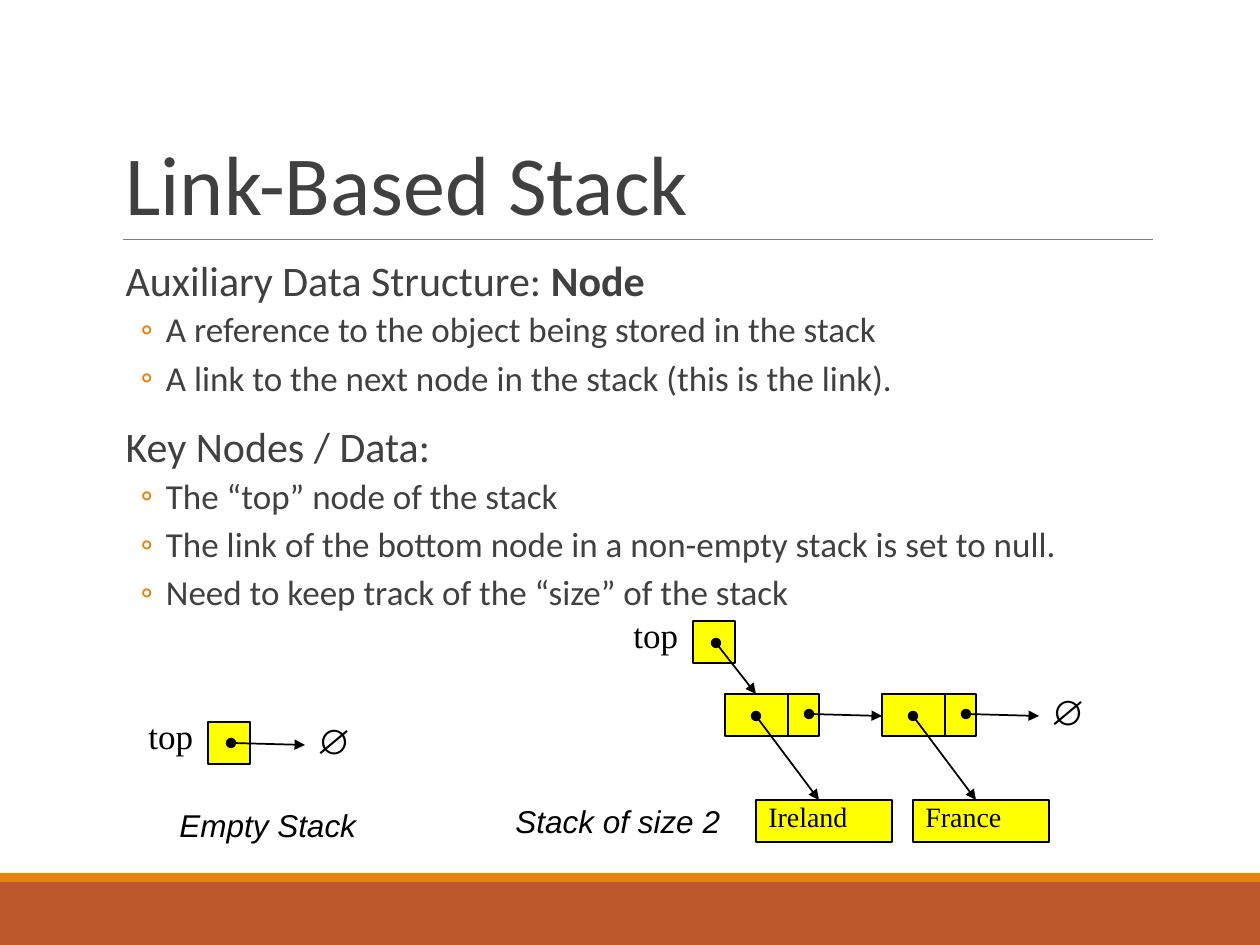
"""Build the Link-Based Stack slide with its node diagrams."""
from dataclasses import dataclass

from lxml.etree import SubElement
from pptx import Presentation
from pptx.dml.color import RGBColor as Rgb
from pptx.enum.shapes import MSO_CONNECTOR as Link, MSO_SHAPE as Shape
from pptx.enum.text import MSO_ANCHOR as Anchor, MSO_AUTO_SIZE as Fit, PP_ALIGN as Align
from pptx.oxml.ns import qn
from pptx.util import Inches, Pt


@dataclass(frozen=True)
class Theme:
    ink: Rgb = Rgb(0x40, 0x40, 0x40)
    black: Rgb = Rgb(0, 0, 0)
    rule: Rgb = Rgb(0x7F, 0x7F, 0x7F)
    yellow: Rgb = Rgb(0xFF, 0xFF, 0)
    orange: Rgb = Rgb(0xE4, 0x83, 0x12)
    rust: Rgb = Rgb(0xBD, 0x58, 0x2C)
    title: Pt = Pt(48)
    heading: Pt = Pt(24)
    point: Pt = Pt(20)
    caption: Pt = Pt(18)
    country: Pt = Pt(16)
    outline: Pt = Pt(0.74)
    arrow: Pt = Pt(0.99)
    hairline: Pt = Pt(0.51)


theme = Theme()
PX = Inches(1) // 126

title_format = {"name": "Calibri", "size": theme.title, "color": theme.ink, "line_spacing": 0.85}
heading_format = {"name": "Calibri", "size": theme.heading, "color": theme.ink,
                  "line_spacing": 0.9, "space_before": Pt(12), "space_after": Pt(2)}
point_format = {**heading_format, "size": theme.point, "level": 1,
                "space_before": Pt(2), "space_after": Pt(4)}
top_format = {"name": "Times New Roman", "size": theme.point, "color": theme.black,
              "line_spacing": 0.6, "space_before": Pt(12.5)}
country_format = {**top_format, "size": theme.country, "space_before": Pt(10),
                  "alignment": Align.LEFT}
null_format = {"name": "Arial", "size": theme.point, "color": theme.black, "space_before": Pt(5)}
caption_format = {"name": "Arial", "size": theme.caption, "color": theme.black, "italic": True}


def write(paragraph, text, formats, bold=None):
    run = paragraph.add_run()
    run.text = text
    run.font.bold = bold
    for key, value in formats.items():
        if key == "color":
            run.font.color.rgb = value
        elif key in ("name", "size", "italic"):
            setattr(run.font, key, value)
        else:
            setattr(paragraph, key, value)


def draw_line(start, end, color, width, arrow=False):
    line = slide.shapes.add_connector(Link.STRAIGHT, *[v * PX for v in (*start, *end)])
    line.line.color.rgb = color
    line.line.width = width
    if arrow:
        stroke = line.line._get_or_add_ln()
        SubElement(stroke, qn("a:headEnd"), type="oval")
        SubElement(stroke, qn("a:tailEnd"), type="triangle")
    SubElement(line._element.spPr, qn("a:effectLst"))


deck = Presentation()
deck.slide_width, deck.slide_height = 1260 * PX, 945 * PX
slide = deck.slides.add_slide(deck.slide_layouts[6])

boxes = [
    ((0, 882, 1260, 63), theme.rust, None, ""),
    ((0, 873, 1260, 9), theme.orange, None, ""),
]
arrows = [((716, 643), (756, 694)), ((231, 743), (305, 745))]
dividers = []
labels = [
    ((113, 39, 1040, 200), "Link-Based Stack", title_format, Anchor.BOTTOM, True),
    ((167, 800, 202, 51), "Empty Stack", caption_format, Anchor.TOP, False),
    ((503, 796, 230, 51), "Stack of size 2", caption_format, Anchor.TOP, False),
]
for left, top in ((693, 621), (208, 722)):
    boxes.append(((left, top, 42, 42), theme.yellow, theme.black, ""))
    labels.append(((left - 72, top + 1, 72, 38), "top", top_format, Anchor.TOP, True))
for left, top in ((1038, 684), (304, 713)):
    labels.append(((left, top, 53, 55), "∅", null_format, Anchor.TOP, False))
for left, country in ((725, "Ireland"), (882, "France")):
    boxes.append(((left, 694, 94, 42), theme.yellow, theme.black, ""))
    boxes.append(((left + 31, 800, 136, 42), theme.yellow, theme.black, country))
    dividers.append(((left + 63, 694), (left + 63, 736)))
    arrows.append(((left + 84, 714), (left + 157, 716)))
    arrows.append(((left + 31, 716), (left + 94, 800)))

for place, fill, border, country in boxes:
    box = slide.shapes.add_shape(Shape.RECTANGLE, *[v * PX for v in place])
    box.shadow.inherit = False
    box.fill.solid()
    box.fill.fore_color.rgb = fill
    if border is None:
        box.line.fill.background()
    else:
        box.line.color.rgb = border
        box.line.width = theme.outline
    if country:
        box.text_frame.vertical_anchor = Anchor.MIDDLE
        write(box.text_frame.paragraphs[0], country, country_format)

draw_line((123, 239), (1153, 239), theme.rule, theme.hairline)
for start, end in dividers:
    draw_line(start, end, theme.black, theme.outline)
for start, end in arrows:
    draw_line(start, end, theme.black, theme.arrow, arrow=True)

for place, text, formats, anchor, wrap in labels:
    frame = slide.shapes.add_textbox(*[v * PX for v in place]).text_frame
    frame.word_wrap = wrap
    frame.auto_size = Fit.NONE if wrap else Fit.SHAPE_TO_FIT_TEXT
    frame.vertical_anchor = anchor
    write(frame.paragraphs[0], text, formats)

outline = [
    ("Auxiliary Data Structure: ", "Node", [
        "A reference to the object being stored in the stack",
        "A link to the next node in the stack (this is the link).",
    ]),
    ("Key Nodes / Data:", "", [
        "The “top” node of the stack",
        "The link of the bottom node in a non-empty stack is set to null.",
        "Need to keep track of the “size” of the stack",
    ]),
]
body = slide.shapes.add_textbox(*[v * PX for v in (113, 254, 1040, 554)]).text_frame
body.word_wrap = True
body.margin_left = body.margin_right = 0
for number, (heading, term, points) in enumerate(outline):
    paragraph = body.add_paragraph() if number else body.paragraphs[0]
    write(paragraph, heading, heading_format)
    if term:
        write(paragraph, term, heading_format, bold=True)
    paragraph._p.get_or_add_pPr().set("marL", str(Inches(0.1)))
    for point in points:
        paragraph = body.add_paragraph()
        write(paragraph, point, point_format)
        properties = paragraph._p.get_or_add_pPr()
        properties.set("marL", str(Inches(0.42)))
        properties.set("indent", str(Inches(-0.2)))
        bullet_color = SubElement(properties, qn("a:buClr"))
        SubElement(bullet_color, qn("a:srgbClr"), val=str(theme.orange))
        SubElement(properties, qn("a:buFont"), typeface="Calibri")
        SubElement(properties, qn("a:buChar"), char="◦")

deck.save("out.pptx")
